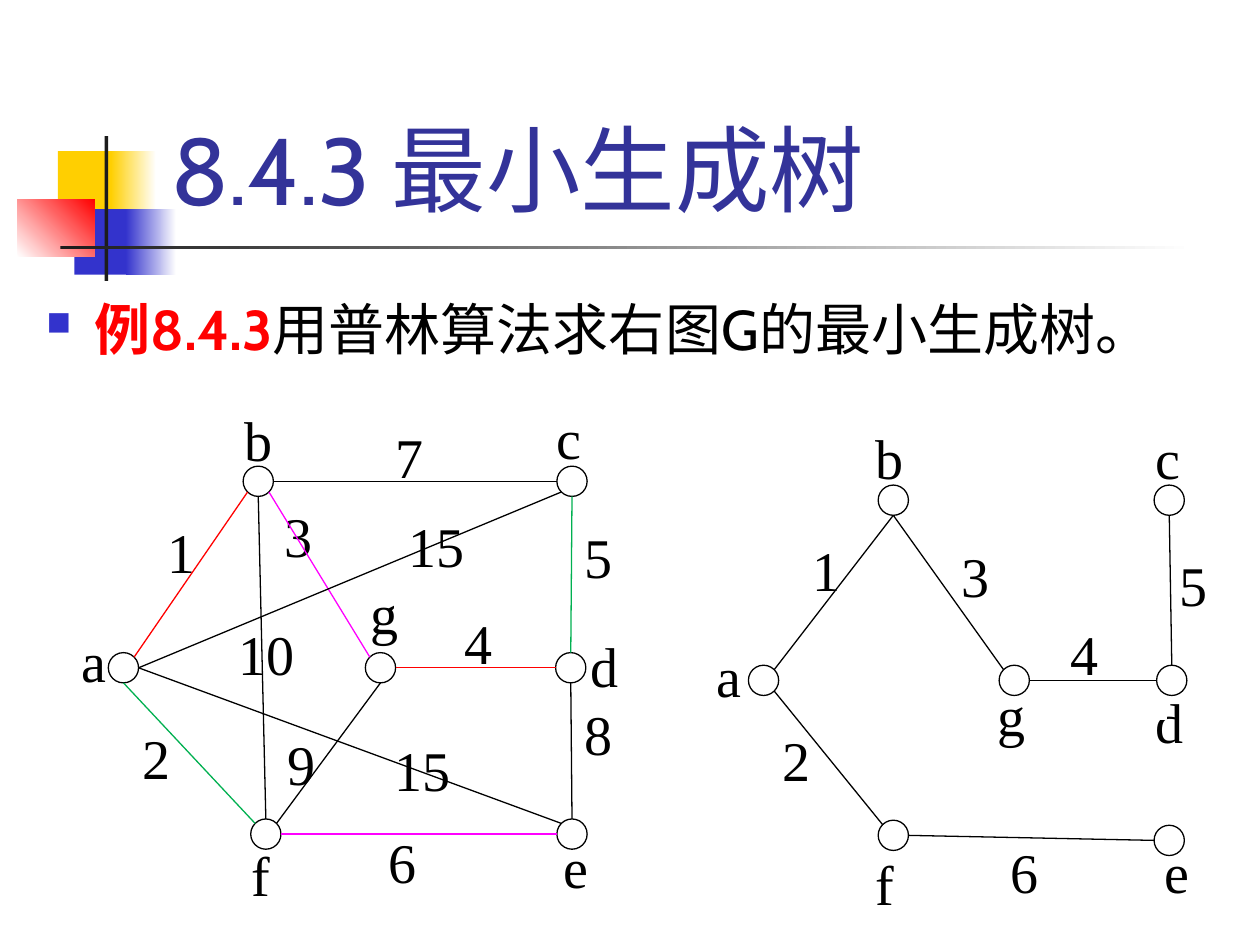
from math import cos, radians, sin

from lxml.etree import SubElement
from pptx import Presentation
from pptx.dml.color import RGBColor
from pptx.enum.shapes import MSO_CONNECTOR, MSO_SHAPE
from pptx.enum.text import MSO_ANCHOR, PP_ALIGN
from pptx.oxml.ns import qn
from pptx.util import Inches, Pt

COLORS = {
    "black": "000000", "white": "FFFFFF", "red": "FF0000", "green": "00B050",
    "magenta": "FF00FF", "yellow": "FFCF01", "blue": "3333CC",
    "navy": "333399", "ink": "1C1C1C",
}
TITLE = "8.4.3 最小生成树"
EXAMPLE = [("例8.4.3", "red", True), ("用普林算法求右图G的最小生成树。", "black", False)]

# left, top, width, height, colours from start to end, angle
ORNAMENTS = [
    (0.46, 1.2, 0.48, 0.52, ["yellow"], 0),
    (0.88, 1.2, 0.36, 0.52, ["yellow", "white"], 0),
    (0.59, 1.66, 0.46, 0.52, ["blue"], 0),
    (1, 1.66, 0.4, 0.52, ["blue", "white"], 0),
    (0.14, 1.58, 0.61, 0.46, ["white", "red"], 45),
    (0.83, 1.08, 0.03, 1.15, ["ink"], 0),
    (0.48, 1.95, 9, 0.03, ["ink", "white"], 0),
]

# nodes: centre; names and weights: text, left, top of the label;
# edges: node, side, node, side, colour
GRAPH = {
    "nodes": {
        "a": (0.98, 5.3), "b": (2.05, 3.82), "c": (4.54, 3.82), "d": (4.53, 5.3),
        "e": (4.54, 6.62), "f": (2.11, 6.62), "g": (3.02, 5.3),
    },
    "names": [
        ("e", 4.36, 6.55), ("f", 1.89, 6.61), ("a", 0.54, 4.91), ("g", 2.83, 4.53),
        ("d", 4.58, 4.95), ("b", 1.83, 3.16), ("c", 4.31, 3.14),
    ],
    "weights": [
        ("4", 3.58, 4.77), ("8", 4.53, 5.49), ("5", 4.53, 4.09), ("7", 3.03, 3.29),
        ("6", 2.97, 6.51), ("2", 1.02, 5.68), ("1", 1.22, 4.05), ("10", 1.78, 4.86),
        ("9", 2.17, 5.73), ("3", 2.15, 3.92), ("15", 3.02, 5.78), ("15", 3.13, 4),
    ],
    "edges": [
        ("b", "E", "c", "W", "black"), ("f", "E", "e", "W", "magenta"),
        ("b", "SW", "a", "NE", "red"), ("a", "S", "f", "NW", "green"),
        ("c", "S", "d", "N", "green"), ("d", "S", "e", "N", "black"),
        ("b", "S", "f", "N", "black"), ("b", "SE", "g", "NW", "magenta"),
        ("g", "S", "f", "NE", "black"), ("g", "E", "d", "W", "red"),
        ("a", "E", "c", "SW", "black"), ("a", "E", "e", "NW", "black"),
    ],
}
SPANNING_TREE = {
    "nodes": {
        "a": (6.06, 5.4), "b": (7.09, 3.97), "c": (9.28, 3.97), "d": (9.3, 5.4),
        "e": (9.28, 6.67), "f": (7.09, 6.63), "g": (8.05, 5.4),
    },
    "names": [
        ("e", 9.13, 6.59), ("f", 6.84, 6.68), ("d", 9.06, 5.4), ("g", 7.81, 5.34),
        ("c", 9.06, 3.3), ("a", 5.58, 5.03), ("b", 6.84, 3.3),
    ],
    "weights": [
        ("2", 6.1, 5.7), ("6", 7.91, 6.59), ("4", 8.39, 4.86), ("5", 9.25, 4.31),
        ("3", 7.52, 4.24), ("1", 6.34, 4.19),
    ],
    "edges": [
        ("b", "S", "a", "NE", "black"), ("a", "SE", "f", "NW", "black"),
        ("b", "S", "g", "NW", "black"), ("g", "E", "d", "W", "black"),
        ("c", "S", "d", "N", "black"), ("f", "E", "e", "W", "black"),
    ],
}
GRAPHS = [GRAPH, SPANNING_TREE]
RADIUS = 0.12
NAME_SIZE = (0.76, 0.77)
WEIGHT_SIZE = (0.87, 0.85)
SIDES = ["E", "SE", "S", "SW", "W", "NW", "N", "NE"]  # clockwise, 45 degrees apart
LABEL_FRAME = {
    "word_wrap": True, "vertical_anchor": MSO_ANCHOR.TOP,
    "margin_left": Inches(0.11), "margin_right": Inches(0.11),
    "margin_top": Inches(0.06), "margin_bottom": Inches(0.06),
}


def rgb(color):
    return RGBColor.from_string(COLORS[color])


def set_attributes(target, values):
    for attribute, value in values.items():
        setattr(target, attribute, value)


def add_run(paragraph, text, size, font, color, bold=False):
    run = paragraph.add_run()
    run.text = text
    set_attributes(run.font, {"size": Pt(size), "name": font, "bold": bold})
    run.font.color.rgb = rgb(color)


def add_filled(slide, preset, box, colors, angle=0, outline=None):
    """Add a shape with a solid fill, or a gradient when two colours are given."""
    shape = slide.shapes.add_shape(preset, *map(Inches, box))
    shape.shadow.inherit = False
    if len(colors) == 1:
        shape.fill.solid()
        shape.fill.fore_color.rgb = rgb(colors[0])
    else:
        shape.fill.gradient()
        shape.fill.gradient_angle = angle
        for stop, color in zip(shape.fill.gradient_stops, colors):
            stop.color.rgb = rgb(color)
    if outline:
        shape.line.color.rgb = rgb(outline)
        shape.line.width = Pt(0.75)
    else:
        shape.line.fill.background()
    return shape


def add_label(slide, text, left, top, size):
    label = add_filled(slide, MSO_SHAPE.RECTANGLE, (left, top, *size), ["white"], outline="white")
    set_attributes(label.text_frame, LABEL_FRAME)
    paragraph = label.text_frame.paragraphs[0]
    paragraph.alignment = PP_ALIGN.LEFT
    add_run(paragraph, text, 32, "Times New Roman", "black")


def rim_point(center, side):
    """Point where an edge meets the given side of a node."""
    angle = radians(45 * SIDES.index(side))
    x, y = center
    return Inches(x + RADIUS * cos(angle)), Inches(y + RADIUS * sin(angle))


def add_edge(slide, start, end, color):
    edge = slide.shapes.add_connector(MSO_CONNECTOR.STRAIGHT, *start, *end)
    edge.line.color.rgb = rgb(color)
    edge.line.width = Pt(0.75)
    SubElement(edge._element.spPr, qn("a:effectLst"))


def add_title(slide):
    frame = slide.shapes.add_textbox(*map(Inches, (1.26, 0.23, 8.52, 1.6))).text_frame
    set_attributes(frame, {"word_wrap": True, "vertical_anchor": MSO_ANCHOR.BOTTOM})
    add_run(frame.paragraphs[0], TITLE, 54, "Cabin", "navy")


def add_example(slide):
    frame = slide.shapes.add_textbox(*map(Inches, (0.27, 2.02, 9.73, 5.48))).text_frame
    frame.word_wrap = True
    paragraph = frame.paragraphs[0]
    set_attributes(paragraph, {"line_spacing": 1.5, "space_before": Pt(8)})
    properties = paragraph._p.get_or_add_pPr()
    properties.set("marL", str(Inches(0.38)))
    properties.set("indent", str(-Inches(0.38)))
    bullet_color = SubElement(properties, qn("a:buClr"))
    SubElement(bullet_color, qn("a:srgbClr"), val=COLORS["blue"])
    SubElement(properties, qn("a:buSzPct"), val="60000")
    SubElement(properties, qn("a:buChar"), char="■")
    for text, color, bold in EXAMPLE:
        add_run(paragraph, text, 32, "Cabin", color, bold)


def main():
    presentation = Presentation()
    presentation.slide_width, presentation.slide_height = Inches(10), Inches(7.5)
    slide = presentation.slides.add_slide(presentation.slide_layouts[6])

    for *box, colors, angle in ORNAMENTS:
        add_filled(slide, MSO_SHAPE.RECTANGLE, box, colors, angle)
    add_title(slide)
    add_example(slide)

    for kind, size in (("names", NAME_SIZE), ("weights", WEIGHT_SIZE)):
        for graph in GRAPHS:
            for text, left, top in graph[kind]:
                add_label(slide, text, left, top, size)
    for graph in GRAPHS:
        nodes = graph["nodes"]
        for x, y in nodes.values():
            box = (x - RADIUS, y - RADIUS, 2 * RADIUS, 2 * RADIUS)
            add_filled(slide, MSO_SHAPE.OVAL, box, ["white"], outline="black")
        for start, start_side, end, end_side, color in graph["edges"]:
            add_edge(slide, rim_point(nodes[start], start_side),
                     rim_point(nodes[end], end_side), color)

    presentation.save("out.pptx")


if __name__ == "__main__":
    main()
